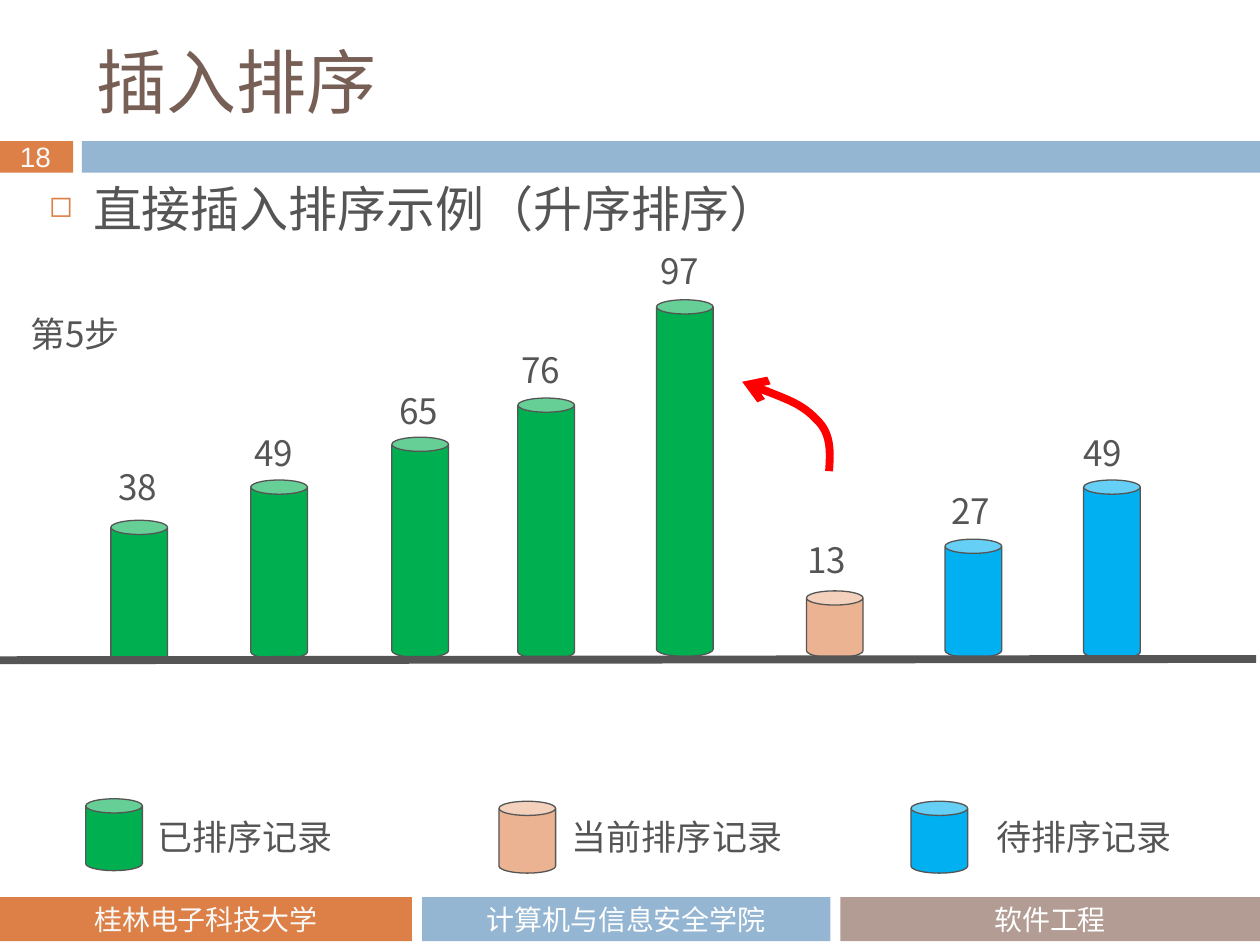
from lxml import etree
from pptx import Presentation
from pptx.dml.color import RGBColor
from pptx.enum import shapes, text
from pptx.oxml.ns import qn
from pptx.util import Inches, Pt

ORANGE = RGBColor(0xDD, 0x80, 0x47)
BLUE = RGBColor(0x94, 0xB6, 0xD2)
TAUPE = RGBColor(0xB2, 0x9C, 0x93)
BROWN = RGBColor(0x77, 0x5F, 0x55)
GREY = RGBColor(0x55, 0x55, 0x55)
WHITE = RGBColor(0xFF, 0xFF, 0xFF)
OFF_WHITE = RGBColor(0xF9, 0xF9, 0xF9)
RED = RGBColor(0xFF, 0x00, 0x00)
SORTED = RGBColor(0x00, 0xB0, 0x50)
CURRENT = RGBColor(0xEB, 0xB3, 0x91)
WAITING = RGBColor(0x00, 0xB0, 0xF0)

SANS = "Noto Sans CJK SC"
CAN_W = 0.45
LEFT, CENTER = text.PP_ALIGN.LEFT, text.PP_ALIGN.CENTER
TOP, MIDDLE = text.MSO_ANCHOR.TOP, text.MSO_ANCHOR.MIDDLE


def add_shape(s, kind, box, fill, outline=None):
    sp = s.shapes.add_shape(kind, *map(Inches, box))
    sp.shadow.inherit = False
    sp.fill.solid()
    sp.fill.fore_color.rgb = fill
    if outline is None:
        sp.line.fill.background()
    else:
        sp.line.color.rgb = outline
        sp.line.width = Pt(0.75)
    return sp


def add_text(s, box, words, size=20, color=GREY, font=SANS, align=LEFT,
             anchor=MIDDLE, wrap=False):
    tf = s.shapes.add_textbox(*map(Inches, box)).text_frame
    tf.word_wrap = wrap
    tf.vertical_anchor = anchor
    p = tf.paragraphs[0]
    p.text = words
    p.alignment = align
    p.font.size = Pt(size)
    p.font.name = font
    p.font.color.rgb = color
    east_asian = etree.SubElement(p._p.pPr.find(qn("a:defRPr")), qn("a:ea"))
    east_asian.set("typeface", font)
    return p


def add_can(s, x, top, height, fill):
    add_shape(s, shapes.MSO_SHAPE.CAN, (x, top, CAN_W, height), fill, GREY)


def header(s, x, y, w):
    # Title above a band that carries the slide number
    rect = shapes.MSO_SHAPE.RECTANGLE
    add_text(s, (x + 0.67, y + 0.25, 8.92, 0.78), "插入排序", 40, BROWN,
             "Noto Sans CJK JP", wrap=True)
    add_shape(s, rect, (x, y + 1.12, 0.58, 0.25), ORANGE)
    add_shape(s, rect, (x + 0.65, y + 1.12, w - 0.65, 0.25), BLUE)
    add_text(s, (x + 0.06, y + 1.06, 0.48, 0.37), "18", 16, OFF_WHITE,
             "Arial", anchor=TOP)


def topic(s, box):
    p = add_text(s, box, "直接插入排序示例（升序排序）", 28, anchor=TOP, wrap=True)
    p.line_spacing = Pt(30)
    # Hanging square bullet, placed ahead of the font defaults
    pPr = p._p.pPr
    pPr.set("marL", str(Inches(0.35)))
    pPr.set("indent", str(-Inches(0.35)))
    defaults = pPr.find(qn("a:defRPr"))
    color = etree.Element(qn("a:buClr"))
    etree.SubElement(color, qn("a:srgbClr")).set("val", str(ORANGE))
    size = etree.Element(qn("a:buSzPct"))
    size.set("val", "60000")
    char = etree.Element(qn("a:buChar"))
    char.set("char", "◻")
    for element in (color, size, char):
        defaults.addprevious(element)


def bars(s, x, y):
    # Value, can left, can top, can height, label left, label top, state
    records = [
        (38, 0.88, 4.13, 1.13, 0.84, 3.64, SORTED),
        (49, 1.99, 3.81, 1.42, 1.92, 3.37, SORTED),
        (65, 3.11, 3.47, 1.75, 3.07, 3.04, SORTED),
        (76, 4.11, 3.16, 2.07, 4.04, 2.71, SORTED),
        (97, 5.21, 2.38, 2.83, 5.14, 1.93, SORTED),
        (13, 6.40, 4.69, 0.53, 6.31, 4.22, CURRENT),
        (27, 7.50, 4.28, 0.94, 7.45, 3.83, WAITING),
        (49, 8.60, 3.81, 1.42, 8.50, 3.37, WAITING),
    ]
    for value, can_x, can_y, height, label_x, label_y, fill in records:
        add_can(s, x + can_x, y + can_y, height, fill)
        add_text(s, (x + label_x, y + label_y, 0.55, 0.44), str(value))
    add_text(s, (x + 0.14, y + 2.43, 0.94, 0.44), "第5步", anchor=TOP, wrap=True)

    # Ground line
    ends = (x, y + 5.24, x + 9.97, y + 5.23)
    ground = s.shapes.add_connector(shapes.MSO_CONNECTOR.STRAIGHT,
                                    *map(Inches, ends))
    ground.line.color.rgb = GREY
    ground.line.width = Pt(4.5)
    etree.SubElement(ground._element.spPr, qn("a:effectLst"))


def insertion_arrow(s, x, y):
    # Start point, then two Bézier segments of three points each
    points = [(6.58, 3.74), (6.59, 3.59), (6.60, 3.44), (6.48, 3.33),
              (6.37, 3.21), (6.13, 3.12), (5.89, 3.03)]
    start, *rest = [(Inches(x + px), Inches(y + py)) for px, py in points]
    builder = s.shapes.build_freeform(*start)
    builder.add_line_segments(rest, close=False)
    sp = builder.convert_to_shape()
    sp.shadow.inherit = False
    sp.fill.background()
    sp.line.color.rgb = RED
    sp.line.width = Pt(4.5)
    etree.SubElement(sp.line._get_or_add_ln(), qn("a:tailEnd")).set("type", "arrow")

    # Turn each run of three straight segments into one curve
    path = next(sp._element.iter(qn("a:path")))
    lines = path.findall(qn("a:lnTo"))
    for i in range(0, len(lines), 3):
        curve = etree.SubElement(path, qn("a:cubicBezTo"))
        for line in lines[i:i + 3]:
            curve.append(line[0])
            path.remove(line)


def legend(s, x, y):
    # Can left, can top, label left, label width
    entries = [
        ("已排序记录", SORTED, 0.68, 0, 1.15, 1.60),
        ("当前排序记录", CURRENT, 3.96, 0.02, 4.44, 1.88),
        ("待排序记录", WAITING, 7.23, 0.02, 7.81, 1.60),
    ]
    for words, fill, can_x, can_y, label_x, width in entries:
        add_can(s, x + can_x, y + can_y, 0.57, fill)
        add_text(s, (x + label_x, y + 0.08, width, 0.44), words)


def footer(s, x, y):
    cells = [
        ("桂林电子科技大学", 0, 3.27, ORANGE, OFF_WHITE),
        ("计算机与信息安全学院", 3.35, 3.24, BLUE, WHITE),
        ("软件工程", 6.67, 3.33, TAUPE, WHITE),
    ]
    for words, left, width, fill, color in cells:
        box = (x + left, y, width, 0.35)
        add_shape(s, shapes.MSO_SHAPE.RECTANGLE, box, fill)
        add_text(s, box, words, 16, color, "Cabin", CENTER, wrap=True)


def main():
    prs = Presentation()
    prs.slide_width, prs.slide_height = Inches(10), Inches(7.5)
    s = prs.slides.add_slide(prs.slide_layouts[6])
    header(s, 0, 0, 10)
    topic(s, (0.29, 1.42, 8.92, 0.74))
    bars(s, 0, 0)
    insertion_arrow(s, 0, 0)
    legend(s, 0, 6.34)
    footer(s, 0, 7.12)
    prs.save("out.pptx")


if __name__ == "__main__":
    main()
